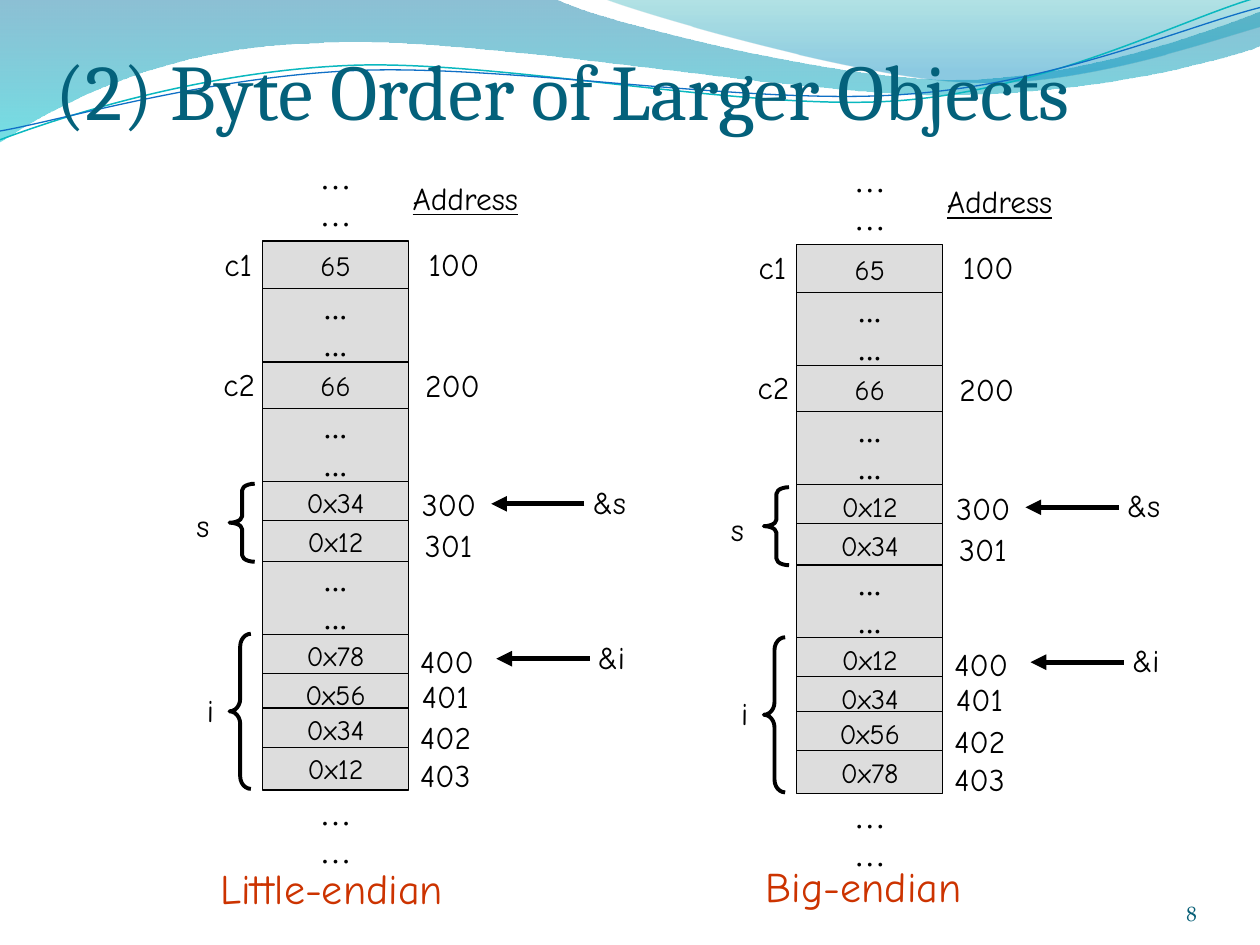
import pptx
import pptx.util
import pptx.dml.color
import pptx.enum.shapes
import pptx.enum.text
import lxml.etree

Pt = pptx.util.Pt
RGB = pptx.dml.color.RGBColor
SHAPE = pptx.enum.shapes.MSO_SHAPE
ALIGN = pptx.enum.text.PP_ALIGN
ANCHOR = pptx.enum.text.MSO_ANCHOR
FIT = pptx.enum.text.MSO_AUTO_SIZE
A = "{http://schemas.openxmlformats.org/drawingml/2006/main}"

BLACK = RGB(0x00, 0x00, 0x00)
GREY = RGB(0xDD, 0xDD, 0xDD)
TITLE = RGB(0x04, 0x61, 0x7B)
NUMBER = RGB(0x04, 0x5D, 0x75)
RED = RGB(0xCC, 0x33, 0x00)
DEEP = RGB(0x00, 0x74, 0xA1)
CYAN = RGB(0x00, 0xC6, 0xCF)
TEAL = RGB(0x00, 0xA1, 0xA9)
BLUE = RGB(0x00, 0x8B, 0xBF)
LINE_TEAL = RGB(0x0A, 0xB8, 0xBF)
LINE_BLUE = RGB(0x0F, 0x6F, 0xC6)

HAND, SERIF = "Comic Neue", "Times New Roman"
COL_W = 83.5  # width of the memory column


def write(sp, text, size=18, font=HAND, color=BLACK, align=ALIGN.LEFT,
          anchor=ANCHOR.TOP, underline=None, wrap=False, insets=None, fit=FIT.NONE):
    tf = sp.text_frame
    tf.word_wrap = wrap
    tf.auto_size = fit
    tf.vertical_anchor = anchor
    if insets:
        tf.margin_left, tf.margin_top, tf.margin_right, tf.margin_bottom = map(Pt, insets)
    for i, line in enumerate(text.split("\n")):
        p = tf.add_paragraph() if i else tf.paragraphs[0]
        p.alignment = align
        r = p.add_run()
        r.text = line
        r.font.size, r.font.name = Pt(size), font
        r.font.color.rgb = color
        r.font.underline = underline


def add_text(shapes, x, y, w, h, text, **fmt):
    write(shapes.add_textbox(Pt(x), Pt(y), Pt(w), Pt(h)), text, **fmt)


def add_outline(s, start, segments, close=False):
    """Segments hold one point for a line or three for a Bezier curve, in inches."""
    points = [(Pt(72 * x), Pt(72 * y)) for seg in segments for x, y in seg]
    fb = s.shapes.build_freeform(Pt(72 * start[0]), Pt(72 * start[1]), scale=1.0)
    fb.add_line_segments(points, close=close)
    sp = fb.convert_to_shape()
    sp.shadow.inherit = False
    lines = iter(list(sp._element.spPr.iter(A + "lnTo")))
    for seg in segments:
        first = next(lines)
        if len(seg) == 3:
            first.tag = A + "cubicBezTo"
            for _ in range(2):
                ln = next(lines)
                first.append(ln[0])
                ln.getparent().remove(ln)
    return sp


def add_wave(s, start, segments, stops):
    sp = add_outline(s, start, segments, close=True)
    sp.line.fill.background()
    sp.fill.gradient()
    sp.fill.gradient_angle = 270
    for stop, (pos, color, _) in zip(sp.fill.gradient_stops, stops):
        stop.position = pos
        stop.color.rgb = color
    for clr, (_, _, opacity) in zip(sp._element.spPr.iter(A + "srgbClr"), stops):
        lxml.etree.SubElement(clr, A + "alpha", val=str(opacity * 1000))


def add_header(s):
    # Translucent waves
    add_wave(s, (0, 0),
             [[(4.4, -0.01)],
              [(4.76, 0.17), (6.64, 0.63), (7.58, 0.63)],
              [(8.53, 0.63), (9.58, 0.26), (10, 0.09)],
              [(10.01, 0.36)],
              [(9.83, 0.44), (8.7, 0.76), (7.46, 0.75)],
              [(6.22, 0.75), (3.82, 0.28), (2.57, 0.34)],
              [(1.29, 0.36), (0.46, 0.83), (-0.01, 1.13)],
              [(0, 0)]],
             [(0, DEEP, 45), (1, CYAN, 55)])
    add_wave(s, (4.79, -0.01),
             [[(5.09, 0.11), (6.82, 0.62), (7.69, 0.65)],
              [(8.56, 0.69), (9.61, 0.32), (10, 0.21)],
              [(10, 0)],
              [(4.79, -0.01)]],
             [(0, TEAL, 30), (0.8, BLUE, 45)])
    # Thin lines along the waves
    for color, width, start, segments in (
        (LINE_TEAL, 0.85, (0, 1.11),
         [[(0.48, 0.93), (1.58, 0.57), (2.77, 0.52)],
          [(3.95, 0.47), (5.93, 0.89), (7.13, 0.8)],
          [(8.33, 0.71), (9.38, 0.15), (9.98, -0.02)]]),
        (LINE_BLUE, 0.75, (0, 1.04),
         [[(0.47, 0.96), (1.64, 0.61), (2.83, 0.56)],
          [(4.03, 0.51), (5.97, 0.84), (7.17, 0.75)],
          [(8.36, 0.67), (9.41, 0.21), (10, 0.06)]]),
    ):
        sp = add_outline(s, start, segments)
        sp.fill.background()
        sp.line.color.rgb, sp.line.width = color, Pt(width)


def add_title(s, x, y, w, h, text):
    sp = s.shapes.title
    sp.left, sp.top, sp.width, sp.height = Pt(x), Pt(y), Pt(w), Pt(h)
    write(sp, text, size=45, font="Cambria", color=TITLE, anchor=ANCHOR.BOTTOM,
          wrap=True, insets=(0, 3.6, 0, 0))
    s.shapes._spTree.append(sp._element)  # in front of the waves


def add_cell(shapes, x, y, h, text):
    sp = shapes.add_shape(SHAPE.RECTANGLE, Pt(x), Pt(y), Pt(COL_W), Pt(h))
    sp.shadow.inherit = False
    sp.fill.solid()
    sp.fill.fore_color.rgb = GREY
    sp.line.color.rgb, sp.line.width = BLACK, Pt(0.75)
    dots = text.startswith(".")
    write(sp, text, size=18 if dots else 16, font=SERIF if dots else HAND,
          align=ALIGN.CENTER, anchor=ANCHOR.MIDDLE)


def add_brace(shapes, x, y, w, h, bend):
    sp = shapes.add_shape(SHAPE.LEFT_BRACE, Pt(x), Pt(y), Pt(w), Pt(h))
    sp.shadow.inherit = False
    sp.adjustments[0] = bend
    sp.fill.background()
    sp.line.color.rgb, sp.line.width = BLACK, Pt(2.25)


def add_arrow(shapes, x1, x2, y):
    c = shapes.add_connector(pptx.enum.shapes.MSO_CONNECTOR.STRAIGHT,
                             Pt(x1), Pt(y), Pt(x2), Pt(y))
    c.line.color.rgb, c.line.width = BLACK, Pt(3)
    lxml.etree.SubElement(c.line._get_or_add_ln(), A + "tailEnd", type="triangle")
    lxml.etree.SubElement(c._element.spPr, A + "effectLst")


def add_memory(s, x, y, s_bytes, i_bytes):
    """Memory column whose top left corner is at x, y."""
    shapes = s.shapes.add_group_shape().shapes
    # Cells, with dots for the memory left out
    gap = "...\n..."
    cells = [(49.7, 28, "65"), (77, 41.8, gap), (118.8, 27, "66"), (145.3, 41.8, gap)]
    cells += [(top, 24.5, b) for top, b in zip((187, 209.3), s_bytes)]
    cells += [(232.8, 41.8, gap)]
    cells += [(top, 24.5, b) for top, b in zip((274.5, 296.8, 316.6, 339), i_bytes)]
    for top, h, text in cells:
        add_cell(shapes, x, y + top, h, text)
    for top in (0, 363.5):
        add_text(shapes, x, y + top, COL_W, 47.5, "…\n…", font=SERIF,
                 align=ALIGN.CENTER, anchor=ANCHOR.MIDDLE)
    # Names, addresses and pointers
    add_text(shapes, x + 73.4, y + 10.7, 85, 29, "Address",
             align=ALIGN.CENTER, underline=True, fit=FIT.SHAPE_TO_FIT_TEXT)
    for dx, dy, w, text in (
        (-28.8, 48.4, 31.7, "c1"), (-29.4, 116.8, 34.6, "c2"),
        (-44.8, 197.7, 23, "s"), (-38.9, 303.3, 19.4, "i"),
        (87.8, 48.4, 44.6, "100"), (85.8, 117.6, 47.5, "200"),
        (84, 185.7, 47.5, "300"), (85.7, 209.2, 44.6, "301"),
        (83, 275.2, 47.5, "400"), (84, 295.3, 44.6, "401"),
        (83, 318.9, 47.5, "402"), (83, 340.6, 47.5, "403"),
        (181.5, 184.2, 35.3, "&s"), (184.5, 272.8, 31, "&i"),
    ):
        add_text(shapes, x + dx, y + dy, w, 29, text, fit=FIT.SHAPE_TO_FIT_TEXT)
    # Braces and arrows
    add_brace(shapes, x - 18.8, y + 188.4, 14.4, 44.6, 0.26)
    add_brace(shapes, x - 18.8, y + 274.2, 12.2, 88.6, 0.59)
    add_arrow(shapes, x + 184, x + 130.7, y + 199.9)
    add_arrow(shapes, x + 187, x + 133.6, y + 288.4)


def main():
    prs = pptx.Presentation()
    prs.slide_width, prs.slide_height = Pt(720), Pt(540)
    s = prs.slides.add_slide(prs.slide_layouts[5])
    add_header(s)
    add_title(s, 22, 10.8, 676, 67, " (2) Byte Order of Larger Objects")
    add_text(s.shapes, 624, 500.4, 60, 28.8, "8", size=12, font="TeX Gyre Pagella",
             color=NUMBER, align=ALIGN.RIGHT, anchor=ANCHOR.BOTTOM, wrap=True,
             insets=(0, 0, 0, 0))
    s_bytes = ["0x12", "0x34"]
    i_bytes = ["0x12", "0x34", "0x56", "0x78"]
    add_memory(s, 150, 88, s_bytes[::-1], i_bytes[::-1])
    add_memory(s, 455.3, 90, s_bytes, i_bytes)
    # Captions
    for x, y, w, text in ((118.8, 489.3, 158.4, "Little-endian"),
                          (430.6, 488.3, 130.3, "Big-endian")):
        add_text(s.shapes, x, y, w, 36, text, size=24, color=RED,
                 fit=FIT.SHAPE_TO_FIT_TEXT)
    prs.save("out.pptx")


if __name__ == "__main__":
    main()
